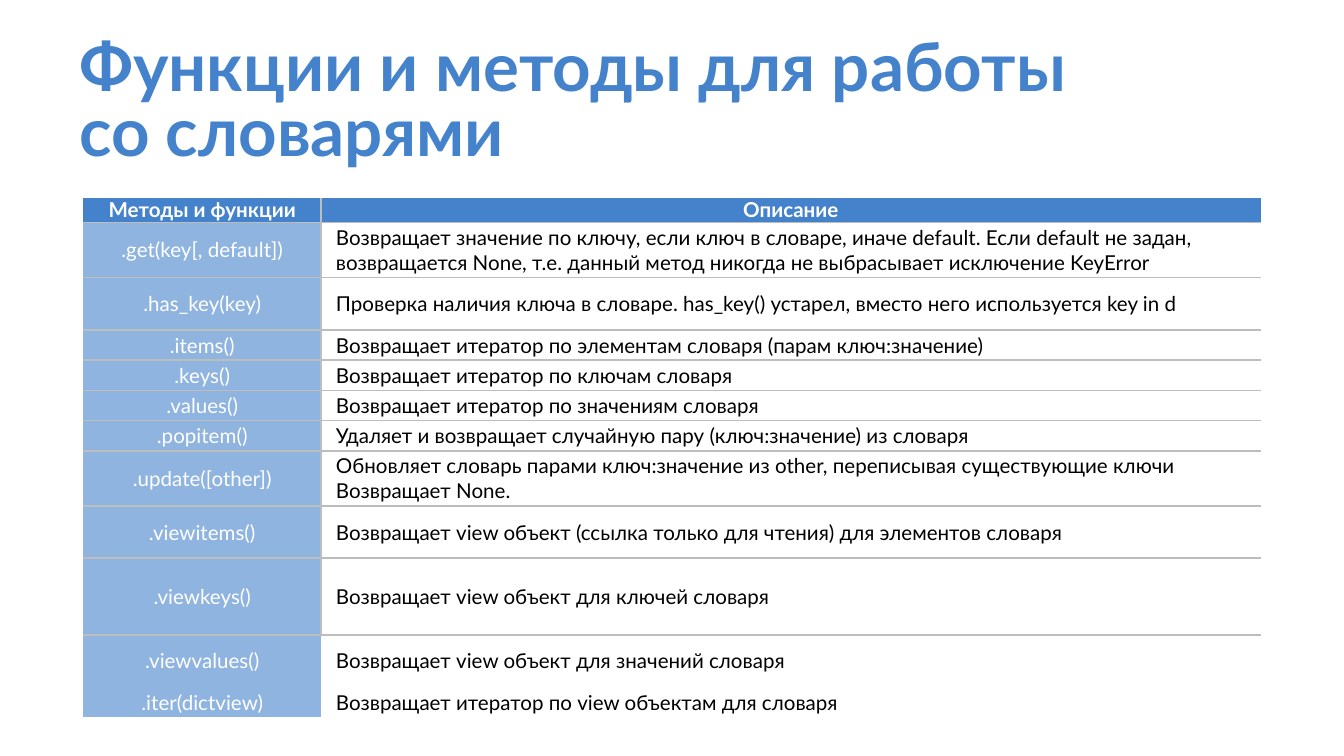
from lxml.etree import SubElement
from pptx import Presentation
from pptx.dml.color import RGBColor
from pptx.enum.text import MSO_ANCHOR, MSO_AUTO_SIZE, PP_ALIGN
from pptx.oxml.ns import qn
from pptx.util import Inches, Pt

BLUE = RGBColor(0x44, 0x82, 0xCC)
LIGHT_BLUE = RGBColor(0x8F, 0xB4, 0xE0)
GRAY = RGBColor(0xBD, 0xBD, 0xBD)
WHITE = RGBColor(0xFF, 0xFF, 0xFF)
BLACK = RGBColor(0, 0, 0)

TITLE = "Функции и методы для работы со словарями"
HEADER = ("Методы и функции", "Описание")
METHODS = [
    (".get(key[, default])",
     "Возвращает значение по ключу, если ключ в словаре, иначе default. "
     "Если default не задан, возвращается None, т.е. данный метод никогда "
     "не выбрасывает исключение KeyError", 0.37),
    (".has_key(key)",
     "Проверка наличия ключа в словаре. has_key() устарел, "
     "вместо него используется key in d", 0.39),
    (".items()", "Возвращает итератор по элементам словаря (парам ключ:значение)", 0.22),
    (".keys()", "Возвращает итератор по ключам словаря", 0.22),
    (".values()", "Возвращает итератор по значениям словаря", 0.22),
    (".popitem()", "Удаляет и возвращает случайную пару (ключ:значение) из словаря", 0.22),
    (".update([other])",
     "Обновляет словарь парами ключ:значение из other, "
     "переписывая существующие ключи Возвращает None.", 0.37),
    (".viewitems()",
     "Возвращает view объект (ссылка только для чтения) для элементов словаря", 0.39),
    (".viewkeys()", "Возвращает view объект для ключей словаря", 0.57),
    (".viewvalues()", "Возвращает view объект для значений словаря", 0.39),
    (".iter(dictview)", "Возвращает итератор по view объектам для словаря", 0.22),
]


class SlideBuilder:
    font = "Lato"
    text_size = 11
    title_size = 36

    def __init__(self, prs):
        self.slide = prs.slides.add_slide(prs.slide_layouts[5])

    def style(self, p, size, color, bold=False):
        for r in p.runs:
            r.font.name = self.font
            r.font.size = Pt(size)
            r.font.bold = bold
            r.font.color.rgb = color

    def title(self, text, left, top, width, height):
        sp = self.slide.shapes.title
        sp.left, sp.top = Inches(left), Inches(top)
        sp.width, sp.height = Inches(width), Inches(height)
        tf = sp.text_frame
        tf.text = text
        tf.word_wrap = True
        tf.auto_size = MSO_AUTO_SIZE.NONE
        tf.vertical_anchor = MSO_ANCHOR.TOP
        tf.margin_left = tf.margin_right = Inches(0.1)
        tf.margin_top = tf.margin_bottom = Inches(0.1)
        p = tf.paragraphs[0]
        p.alignment = PP_ALIGN.LEFT
        p.line_spacing = 0.8
        self.style(p, self.title_size, BLUE, True)

    def borders(self, cell, sides):
        tcPr = cell._tc.get_or_add_tcPr()
        for side in "LRTB":
            ln = SubElement(tcPr, qn(f"a:ln{side}"), w=str(Pt(1)))
            if side in sides:
                fill = SubElement(ln, qn("a:solidFill"))
                SubElement(fill, qn("a:srgbClr"), val=str(GRAY))
            else:
                SubElement(ln, qn("a:noFill"))

    def cell(self, cell, text, fill, color, sides, header=False, centered=True):
        self.borders(cell, sides)
        cell.fill.solid()
        cell.fill.fore_color.rgb = fill
        cell.vertical_anchor = MSO_ANCHOR.MIDDLE
        cell.margin_left = cell.margin_right = Inches(0.07 if header else 0.02)
        cell.margin_top = cell.margin_bottom = Inches(0 if header else 0.02)
        cell.text = text
        p = cell.text_frame.paragraphs[0]
        if centered:
            p.alignment = PP_ALIGN.CENTER
        else:
            p._p.get_or_add_pPr().set("marL", str(Inches(0.09)))
        self.style(p, self.text_size, color, header)

    def table(self, header, header_height, rows, left, top, widths):
        heights = [header_height] + [height for _, _, height in rows]
        table = self.slide.shapes.add_table(
            len(heights), len(widths), Inches(left), Inches(top),
            Inches(sum(widths)), Inches(sum(heights))).table
        for column, width in zip(table.columns, widths):
            column.width = Inches(width)
        for row, height in zip(table.rows, heights):
            row.height = Inches(height)
        for i, (text, sides) in enumerate(zip(header, ("RB", "LB"))):
            self.cell(table.cell(0, i), text, BLUE, WHITE, sides, header=True)
        for i, (name, description, _) in enumerate(rows, 1):
            left_sides, right_sides = "RTB", "LTB"
            if i == len(rows) - 1:
                left_sides = right_sides = "T"
            elif i == len(rows):
                left_sides = right_sides = ""
            self.cell(table.cell(i, 0), name, LIGHT_BLUE, WHITE, left_sides)
            self.cell(table.cell(i, 1), description, WHITE, BLACK, right_sides,
                      centered=False)


def main():
    prs = Presentation()
    prs.slide_width = Inches(10)
    prs.slide_height = prs.slide_width * 9 // 16
    s = SlideBuilder(prs)
    s.title(TITLE, 0.49, 0.2, 7.57, 0.76)
    s.table(HEADER, 0.18, METHODS, 0.62, 1.47, (1.77, 6.99))
    prs.save("out.pptx")


if __name__ == "__main__":
    main()
